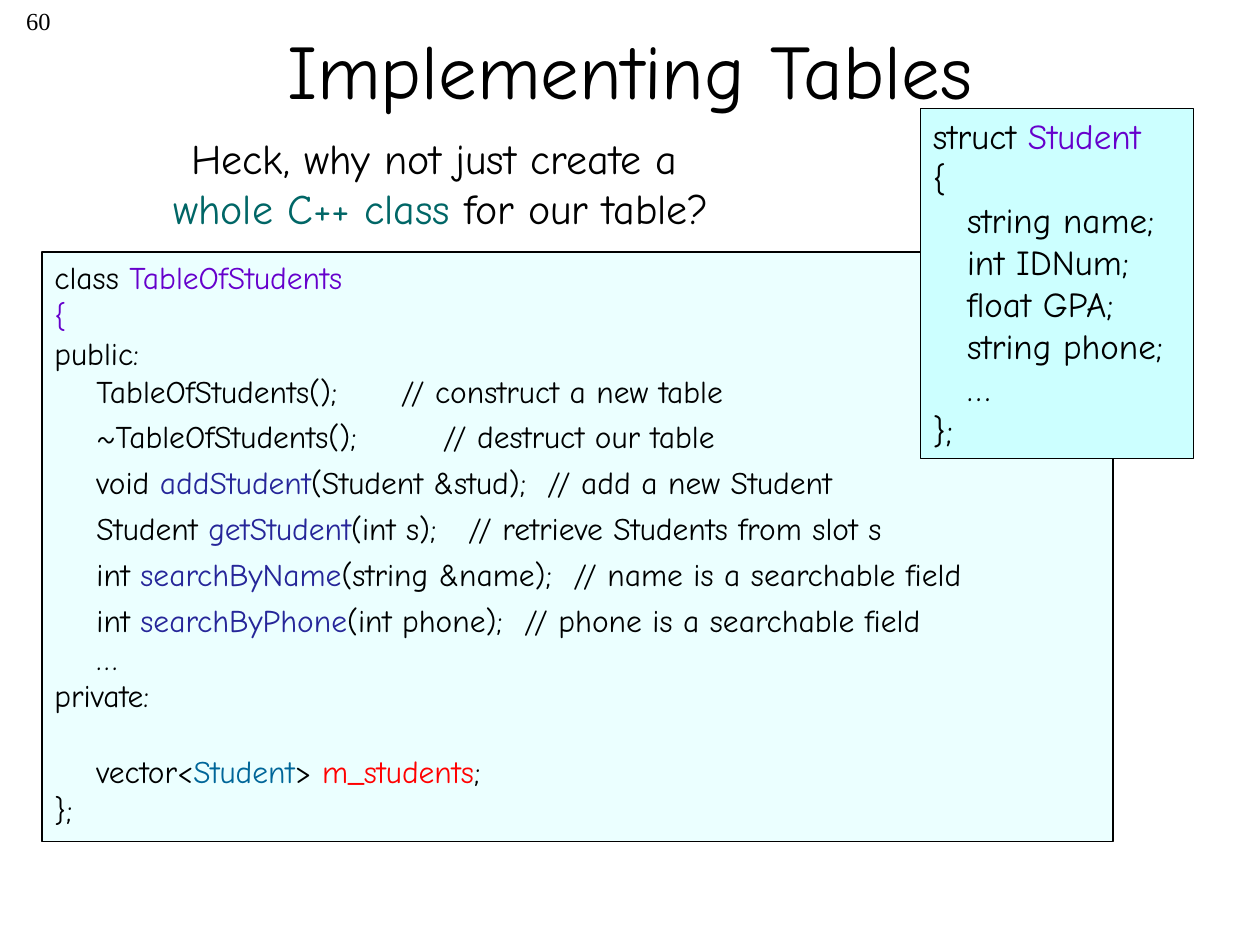
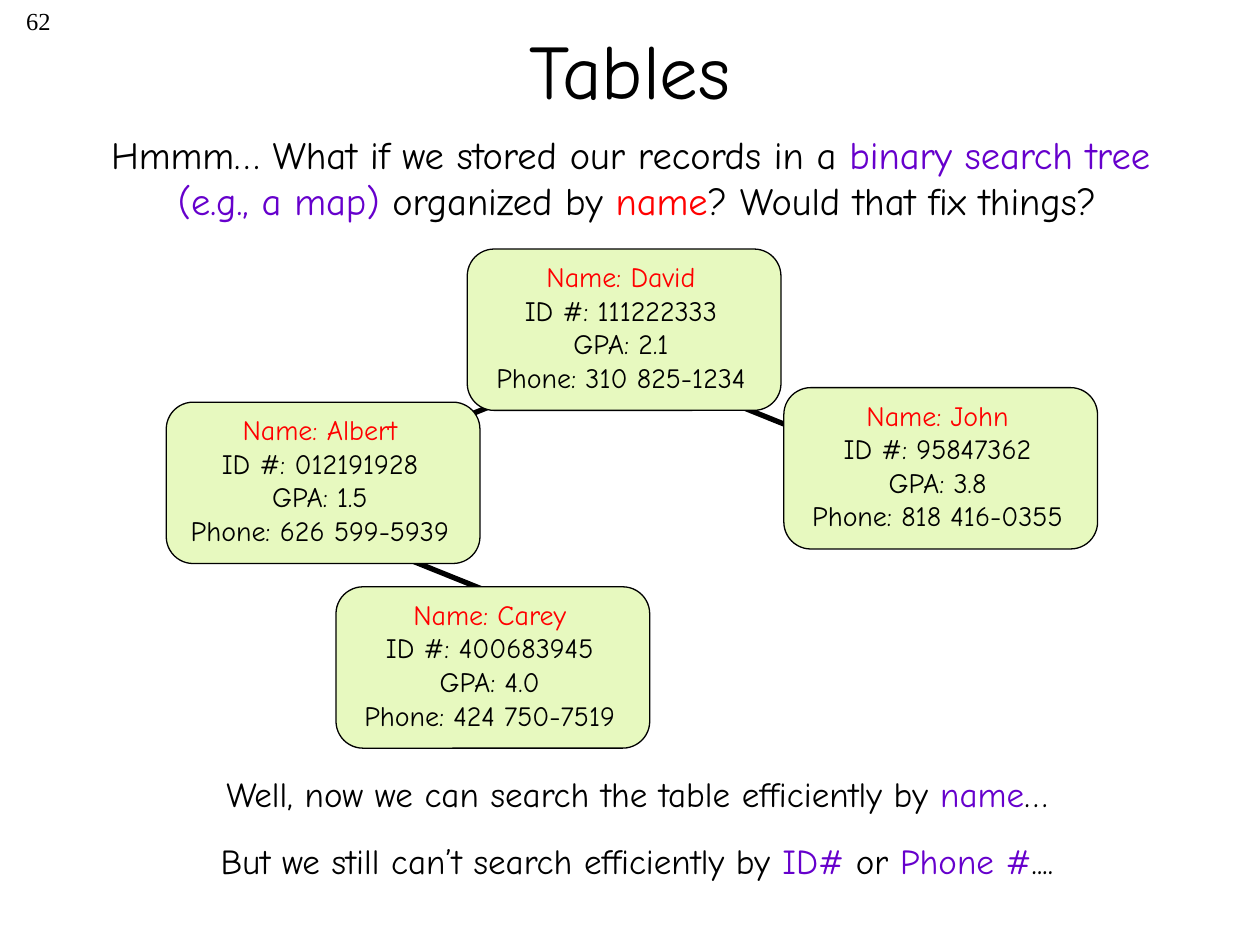
from lxml.etree import SubElement
from pptx import Presentation
from pptx.dml.color import RGBColor
from pptx.enum.shapes import MSO_CONNECTOR as Connector
from pptx.enum.shapes import MSO_SHAPE as Shape
from pptx.enum.text import MSO_ANCHOR as Anchor
from pptx.enum.text import PP_ALIGN as Align
from pptx.oxml.ns import qn
from pptx.util import Pt

COLORS = {
    "text": "000000",
    "purple": "6600CC",
    "teal": "006666",
    "method": "262699",
    "type": "006699",
    "red": "FF0000",
    "class_box": "EBFFFF",
    "struct_box": "CCFFFF",
    "node": "E7F9BF",
    "border": "000000",
}
BODY_FONT = "Comic Neue"
NUMBER_FONT = "Times New Roman"

# Tree geometry in points: node size and the step of one edge
NODE_WIDTH, NODE_HEIGHT = 179.3, 92.2
EDGE_X, EDGE_Y = 50.4, 20.3

CLASS_INDENT, STRUCT_INDENT = 24, 19.5
METHOD_GAP, SECTION_GAP = 4.6, 21.7


def rgb(name):
    return RGBColor.from_string(COLORS[name])


# Text
def add_runs(paragraph, runs, size, font=BODY_FONT):
    """Each run is a (text, colour name) pair; a newline breaks the line."""
    for text, color in runs:
        for index, piece in enumerate(text.split("\n")):
            if index:
                paragraph.add_line_break()
            if piece:
                run = paragraph.add_run()
                run.text = piece
                run.font.name = font
                run.font.size = Pt(size)
                run.font.color.rgb = rgb(color)


def set_tabs(paragraph, positions):
    tab_list = SubElement(paragraph._p.get_or_add_pPr(), qn("a:tabLst"))
    for position in positions:
        SubElement(tab_list, qn("a:tab"), pos=str(Pt(position)), algn="l")


def next_paragraph(frame, index):
    return frame.add_paragraph() if index else frame.paragraphs[0]


def add_text(slide, box, runs, size, align=Align.CENTER, anchor=Anchor.TOP, font=BODY_FONT):
    frame = slide.shapes.add_textbox(*map(Pt, box)).text_frame
    frame.word_wrap = True
    frame.vertical_anchor = anchor
    paragraph = frame.paragraphs[0]
    paragraph.alignment = align
    add_runs(paragraph, runs, size, font)


# Shapes
def add_box(slide, kind, box, fill):
    shape = slide.shapes.add_shape(kind, *map(Pt, box))
    shape.shadow.inherit = False
    shape.fill.solid()
    shape.fill.fore_color.rgb = rgb(fill)
    shape.line.color.rgb = rgb("border")
    shape.line.width = Pt(0.75)
    shape.text_frame.word_wrap = True
    shape.text_frame.vertical_anchor = Anchor.TOP
    return shape


def add_code(slide, box, fill, size, indent, lines):
    """Each line is (runs, space before, tab stop of its comment)."""
    frame = add_box(slide, Shape.RECTANGLE, box, fill).text_frame
    for index, (runs, gap, comment_tab) in enumerate(lines):
        paragraph = next_paragraph(frame, index)
        paragraph.alignment = Align.LEFT
        paragraph.space_before = Pt(gap)
        set_tabs(paragraph, [indent, comment_tab] if comment_tab else [indent])
        add_runs(paragraph, runs, size)


def add_node(slide, left, top, record):
    shape = add_box(slide, Shape.ROUNDED_RECTANGLE, (left, top, NODE_WIDTH, NODE_HEIGHT), "node")
    shape.adjustments[0] = 0.167
    frame = shape.text_frame
    frame.margin_left, frame.margin_right = 0, Pt(3.6)
    frame.margin_top, frame.margin_bottom = Pt(1.5), 0
    for index, (label, value) in enumerate(zip(("Name", "ID #", "GPA", "Phone"), record)):
        paragraph = next_paragraph(frame, index)
        paragraph.alignment = Align.CENTER
        add_runs(paragraph, [(f"{label}: {value}", "text" if index else "red")], 16)


def add_edge(slide, left, top, direction):
    """Draw an edge downwards; direction is 1 to the right, -1 to the left."""
    edge = slide.shapes.add_connector(
        Connector.STRAIGHT, Pt(left), Pt(top), Pt(left + direction * EDGE_X), Pt(top + EDGE_Y))
    edge.line.color.rgb = rgb("border")
    edge.line.width = Pt(3)
    SubElement(edge._element.spPr, qn("a:effectLst"))


# Slides
def add_slide(presentation, number, title):
    slide = presentation.slides.add_slide(presentation.slide_layouts[6])
    add_text(slide, (0, 0, 36, 36), [(number, "text")], 14, Align.RIGHT, font=NUMBER_FONT)
    add_text(slide, (54, 0, 612, 78), [(title, "text")], 44, anchor=Anchor.MIDDLE)
    return slide


def method(before, name, after, comment, comment_tab):
    runs = [("\t" + before, "text"), (name, "method"), (f"{after};\t// {comment}", "text")]
    return runs, METHOD_GAP, comment_tab


def plain(text, gap=0, comment_tab=None):
    return [(text, "text")], gap, comment_tab


def build_class_slide(presentation):
    slide = add_slide(presentation, "60", "Implementing Tables")
    add_code(slide, (24, 144, 612, 337), "class_box", 18, CLASS_INDENT, [
        ([("class ", "text"), ("TableOfStudents", "purple")], 0, None),
        ([("{", "purple")], 0, None),
        plain("public:"),
        plain("\tTableOfStudents();\t// construct a new table", 0, 198),
        plain("\t~TableOfStudents();\t// destruct our table", METHOD_GAP, 222),
        method("void ", "addStudent", "(Student &stud)", "add a new Student", 281.5),
        method("Student ", "getStudent", "(int s)", "retrieve Students from slot s", 236.5),
        method("int ", "searchByName", "(string &name)", "name is a searchable field", 296.5),
        method("int ", "searchByPhone", "(int phone)", "phone is a searchable field", 268.5),
        plain("\t…"),
        plain("private:"),
        ([("\tvector<", "text"), ("Student", "type"), ("> ", "text"),
          ("m_students", "red"), (";", "text")], SECTION_GAP, None),
        plain("};"),
    ])
    add_text(slide, (30, 72, 444, 65), [
        ("Heck, why not just create a \n", "text"),
        ("whole C++ class ", "teal"), ("for our table?", "text")], 24)
    members = ("string name;", "int IDNum;", "float GPA;", "string phone;", "…")
    add_code(slide, (526, 62, 156, 200), "struct_box", 20, STRUCT_INDENT, [
        ([("struct ", "text"), ("Student", "purple")], 0, None),
        plain("{"),
        *[plain("\t" + member) for member in members],
        plain("};"),
    ])


def build_tree_slide(presentation):
    slide = add_slide(presentation, "62", "Tables")
    add_text(slide, (8, 71.5, 712, 60), [
        ("Hmmm… What if we stored our records in a ", "text"),
        ("binary search tree \n(e.g., a map) ", "purple"),
        ("organized by ", "text"), ("name", "red"),
        ("? Would that fix things?", "text")], 22)

    # Edges go first so that the nodes cover their ends
    for edge in ((402.5, 224, 1), (299.5, 224.5, -1), (226.8, 317, 1)):
        add_edge(slide, *edge)
    for left, top, record in (
        (267, 142.3, ("David", "111222333", "2.1", "310 825-1234")),
        (447.9, 221.5, ("John", "95847362", "3.8", "818 416-0355")),
        (192, 335.3, ("Carey", "400683945", "4.0", "424 750-7519")),
        (95, 229.8, ("Albert", "012191928", "1.5", "626 599-5939")),
    ):
        add_node(slide, left, top, record)

    # Conclusions
    add_text(slide, (43, 438, 642, 32), [
        ("Well, now we can search the table efficiently by ", "text"),
        ("name", "purple"), ("…", "text")], 20)
    add_text(slide, (43, 476, 642, 32), [
        ("But we still can’t search efficiently by ", "text"), ("ID#", "purple"),
        (" or ", "text"), ("Phone #", "purple"), ("....", "text")], 20)


def main():
    presentation = Presentation()
    presentation.slide_width, presentation.slide_height = Pt(720), Pt(540)
    build_class_slide(presentation)
    build_tree_slide(presentation)
    presentation.save("out.pptx")


if __name__ == "__main__":
    main()
